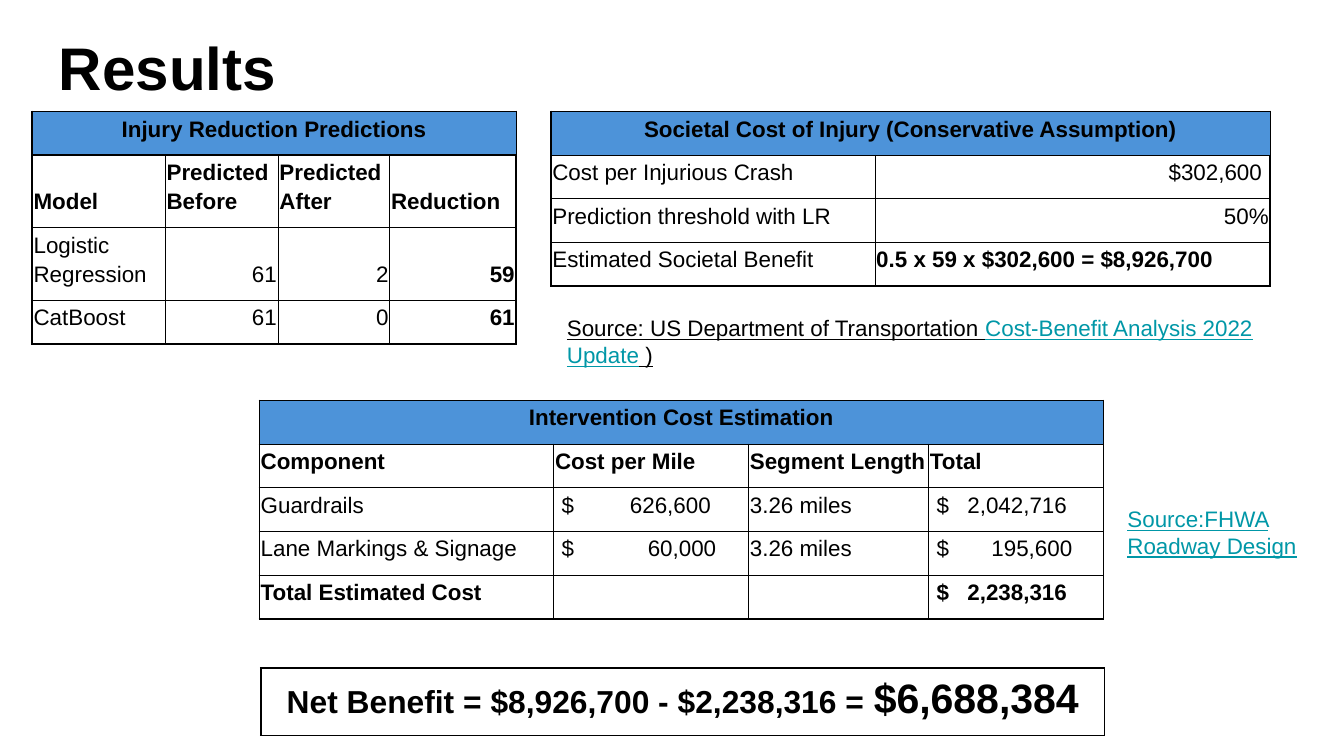
from dataclasses import dataclass

from lxml import etree
from pptx import Presentation
from pptx.dml.color import RGBColor
from pptx.enum import text
from pptx.oxml.ns import qn
from pptx.util import Inches, Pt

LEFT, CENTER, RIGHT = text.PP_ALIGN.LEFT, text.PP_ALIGN.CENTER, text.PP_ALIGN.RIGHT


@dataclass(frozen=True)
class Theme:
    font: str = "Arial"
    ink: str = "000000"
    link: str = "0097A7"
    header: str = "4D93D9"
    title: float = 32.2
    body: float = 12
    net: float = 17
    net_total: float = 22
    outer: float = 1
    inner: float = 0.5


THEME = Theme()


@dataclass(frozen=True)
class Run:
    text: str
    size: float = THEME.body
    bold: bool = False
    color: str = THEME.ink
    underline: bool = False


@dataclass(frozen=True)
class Cell:
    runs: tuple[Run, ...] = ()
    align: text.PP_ALIGN = LEFT
    pad: float = 0.01
    tab: float = 0
    fill: str = ""


@dataclass(frozen=True)
class Grid:
    """A table whose first row is one heading across all columns."""
    left: float
    top: float
    widths: tuple[float, ...]
    heights: tuple[float, ...]
    heading: Cell
    rows: tuple[tuple[Cell, ...], ...] = ()
    heavy_heading: bool = False


@dataclass(frozen=True)
class Note:
    left: float
    top: float
    width: float
    height: float
    runs: tuple[Run, ...]


def label(words: str, bold: bool = False) -> Cell:
    return Cell((Run(words, bold=bold),))


def number(words: str, bold: bool = False, pad: float = 0.01) -> Cell:
    return Cell((Run(words, bold=bold),), RIGHT, pad)


def money(amount: str, tab: float, bold: bool = False) -> Cell:
    """A dollar sign at the left and the amount ending at a tab stop."""
    return Cell((Run(f"$\t{amount}", bold=bold),), pad=0.06, tab=tab)


def heading(words: str) -> Cell:
    return Cell((Run(words, bold=True),), CENTER, fill=THEME.header)


def header_row(*names: str) -> tuple[Cell, ...]:
    return tuple(label(name, True) for name in names)


def write_runs(p, runs: tuple[Run, ...]) -> None:
    for run in runs:
        r = p.add_run()
        r.text = run.text
        f = r.font
        f.name, f.size, f.bold = THEME.font, Pt(run.size), run.bold
        f.underline = run.underline
        f.color.rgb = RGBColor.from_string(run.color)
    if not runs:
        etree.SubElement(p._p, qn("a:endParaRPr"), sz=str(int(THEME.body * 100)))


def set_borders(cell, widths: dict[str, float]) -> None:
    tc_pr = cell._tc.get_or_add_tcPr()
    for side in "LRTB":
        ln = etree.SubElement(tc_pr, qn(f"a:ln{side}"), w=str(Pt(widths[side])))
        fill = etree.SubElement(ln, qn("a:solidFill"))
        etree.SubElement(fill, qn("a:srgbClr"), val=THEME.ink)


def fill_cell(cell, content: Cell) -> None:
    cell.vertical_anchor = text.MSO_ANCHOR.BOTTOM
    cell.margin_left = cell.margin_right = Inches(content.pad)
    cell.margin_top, cell.margin_bottom = Inches(0.01), Inches(0.1)
    if content.fill:
        cell.fill.solid()
        cell.fill.fore_color.rgb = RGBColor.from_string(content.fill)
    else:
        cell.fill.background()
    p = cell.text_frame.paragraphs[0]
    p.alignment, p.line_spacing = content.align, 1.15
    if content.tab:
        tabs = etree.SubElement(p._p.get_or_add_pPr(), qn("a:tabLst"))
        etree.SubElement(tabs, qn("a:tab"), pos=str(Inches(content.tab)), algn="r")
    write_runs(p, content.runs)


def draw_grid(s, grid: Grid) -> None:
    n_rows, n_cols = len(grid.heights), len(grid.widths)
    table = s.shapes.add_table(
        n_rows, n_cols, Inches(grid.left), Inches(grid.top),
        Inches(sum(grid.widths)), Inches(sum(grid.heights))).table
    table.first_row = table.horz_banding = False
    for column, width in zip(table.columns, grid.widths):
        column.width = Inches(width)
    for row, height in zip(table.rows, grid.heights):
        row.height = Inches(height)
    table.cell(0, 0).merge(table.cell(0, n_cols - 1))

    blank_tail = (Cell(),) * (n_cols - 1)
    for i, row in enumerate(((grid.heading, *blank_tail), *grid.rows)):
        for j, content in enumerate(row):
            heavy = {
                "L": j == 0,
                "R": j == n_cols - 1,
                "T": i == 0 or (i == 1 and grid.heavy_heading),
                "B": i == n_rows - 1 or (i == 0 and grid.heavy_heading),
            }
            cell = table.cell(i, j)
            set_borders(cell, {side: THEME.outer if on else THEME.inner
                               for side, on in heavy.items()})
            fill_cell(cell, content)


def draw_note(s, note: Note) -> None:
    sp = s.shapes.add_textbox(Inches(note.left), Inches(note.top),
                              Inches(note.width), Inches(note.height))
    tf = sp.text_frame
    tf.word_wrap = True
    tf.margin_left = tf.margin_right = Inches(0.1)
    tf.margin_top = tf.margin_bottom = Inches(0.1)
    write_runs(tf.paragraphs[0], note.runs)


LINE, TWO_LINES = 0.32, 0.54
MILE_TAB, TOTAL_TAB = 1.11, 0.97

GRIDS = (
    Grid(0.24, 0.83, (0.99, 0.84, 0.83, 0.94), (LINE, TWO_LINES, TWO_LINES, LINE),
         heading("Injury Reduction Predictions"), (
             header_row("Model", "Predicted Before", "Predicted After", "Reduction"),
             (label("Logistic Regression"), number("61"), number("2"), number("59", True)),
             (label("CatBoost"), number("61"), number("0"), number("61", True)),
         ), heavy_heading=True),
    Grid(1.93, 2.98, (2.19, 1.45, 1.34, 1.3), (LINE,) * 5,
         heading("Intervention Cost Estimation"), (
             header_row("Component", "Cost per Mile", "Segment Length", "Total"),
             (label("Guardrails"), money("626,600", MILE_TAB),
              label("3.26 miles"), money("2,042,716", TOTAL_TAB)),
             (label("Lane Markings & Signage"), money("60,000", MILE_TAB + 0.04),
              label("3.26 miles"), money("195,600", TOTAL_TAB + 0.04)),
             (label("Total Estimated Cost", True), Cell(), Cell(),
              money("2,238,316", TOTAL_TAB, True)),
         )),
    Grid(4.1, 0.83, (2.41, 2.94), (LINE,) * 4,
         heading("Societal Cost of Injury (Conservative Assumption)"), (
             (label("Cost per Injurious Crash"), number("$302,600", pad=0.06)),
             (label("Prediction threshold with LR"), number("50%")),
             (label("Estimated Societal Benefit"),
              label("0.5 x 59 x $302,600 = $8,926,700", True)),
         )),
    Grid(1.94, 4.97, (4.25, 2.03), (0.5,),
         Cell((Run("Net Benefit = $8,926,700 - $2,238,316 = ", THEME.net, True),
               Run("$6,688,384", THEME.net_total, True)), CENTER)),
)

NOTES = (
    Note(0.34, 0.13, 9.32, 0.63, (Run("Results", THEME.title, True),)),
    Note(8.29, 3.66, 1.51, 0.61,
         (Run("Source:FHWA Roadway Design", color=THEME.link, underline=True),)),
    Note(4.12, 2.24, 5.33, 0.61, (
        Run("Source: US Department of Transportation ", underline=True),
        Run("Cost-Benefit Analysis 2022 Update", color=THEME.link, underline=True),
        Run(" )", underline=True))),
)


def main() -> None:
    prs = Presentation()
    prs.slide_width, prs.slide_height = Inches(10), Inches(5.625)
    s = prs.slides.add_slide(prs.slide_layouts[6])
    for grid in GRIDS:
        draw_grid(s, grid)
    for note in NOTES:
        draw_note(s, note)
    prs.save("out.pptx")


if __name__ == "__main__":
    main()
